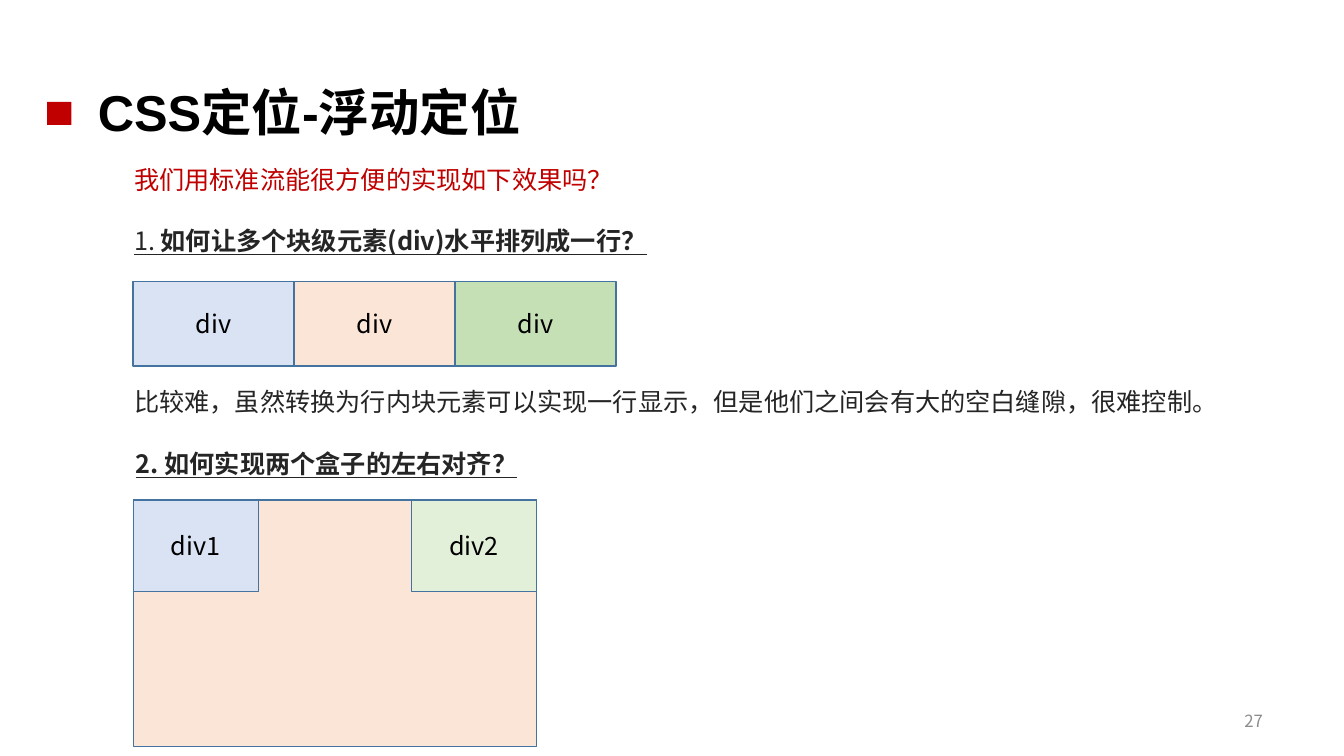
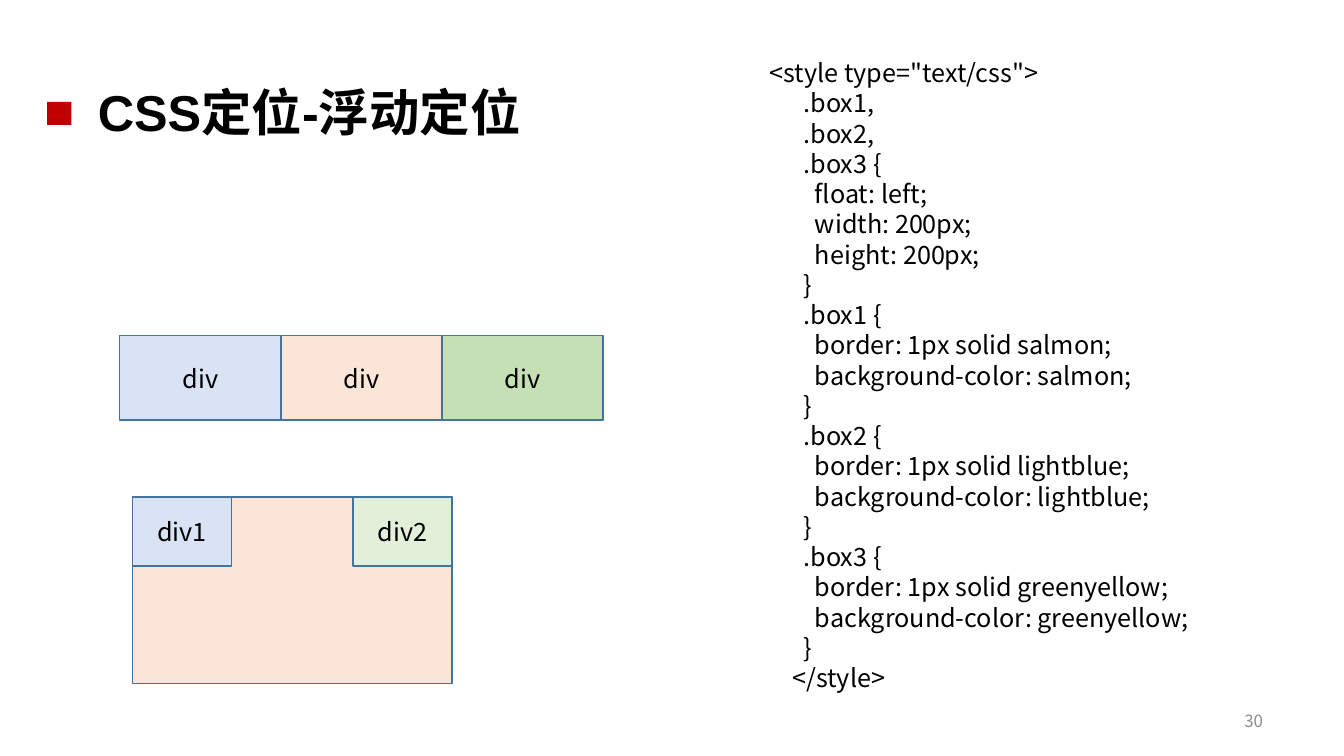
from lxml import etree
from pptx import Presentation
from pptx import util as u
from pptx.dml.color import RGBColor
from pptx.enum import shapes, text
from pptx.oxml import ns

SANS = "Noto Sans CJK SC"
INK, BLACK, RED, GREY, BORDER = "252525", "000000", "C00000", "8C8C8C", "43739E"
BLUE, PEACH, GREEN, PALE_GREEN = "DAE3F3", "FBE5D6", "C5E0B4", "E2F0D9"
CODE = """<style type="text/css">
      .box1,
      .box2,
      .box3 {
        float: left;
        width: 200px;
        height: 200px;
      }
      .box1 {
        border: 1px solid salmon;
        background-color: salmon;
      }
      .box2 {
        border: 1px solid lightblue;
        background-color: lightblue;
      }
      .box3 {
        border: 1px solid greenyellow;
        background-color: greenyellow;
      }
    </style>"""


def rgb(value):
    return RGBColor.from_string(value)


def cm(*lengths):
    return [u.Cm(length) for length in lengths]


class Deck:
    def __init__(self):
        self.prs = Presentation()
        self.prs.slide_width, self.prs.slide_height = cm(33.87, 19.05)
        self.slide = None

    def style(self, run, color=BLACK, **values):
        formats = {"name": SANS, "size": u.Pt(18), "bold": False, **values}
        for key, value in formats.items():
            setattr(run.font, key, value)
        run.font.color.rgb = rgb(color)
        east_asian = etree.SubElement(run.font._element, ns.qn("a:ea"))
        east_asian.set("typeface", SANS)

    def fill_text(self, frame, paragraphs, align, size=18, gap=0):
        frame.word_wrap = True
        for index, runs in enumerate(paragraphs):
            paragraph = frame.paragraphs[0] if index == 0 else frame.add_paragraph()
            paragraph.alignment = align
            paragraph.line_spacing = u.Pt(size * 1.2)
            paragraph.space_before = u.Pt(gap if index else 0)
            for words, look in runs:
                run = paragraph.add_run()
                run.text = words
                self.style(run, size=u.Pt(size), **look)

    def rectangle(self, place, fill, line=None, label=None, parent=None):
        box = (parent or self.slide).shapes.add_shape(
            shapes.MSO_SHAPE.RECTANGLE, *cm(*place))
        box.shadow.inherit = False
        box.fill.solid()
        box.fill.fore_color.rgb = rgb(fill)
        if line:
            box.line.color.rgb = rgb(line)
            box.line.width = u.Pt(1)
        else:
            box.line.fill.background()
        if label:
            box.text_frame.vertical_anchor = text.MSO_ANCHOR.MIDDLE
            self.fill_text(box.text_frame, [[(label, {})]], text.PP_ALIGN.CENTER)

    def text_box(self, place, paragraphs, align=text.PP_ALIGN.LEFT,
                 anchor=text.MSO_ANCHOR.TOP, inset=0, **layout):
        frame = self.slide.shapes.add_textbox(*cm(*place)).text_frame
        for side in ("left", "right", "top", "bottom"):
            setattr(frame, f"margin_{side}", u.Cm(inset))
        frame.vertical_anchor = anchor
        self.fill_text(frame, paragraphs, align, **layout)

    def new_slide(self, heading, number):
        self.slide = self.prs.slides.add_slide(self.prs.slide_layouts[5])
        title = self.slide.shapes.title
        title.left, title.top, title.width, title.height = cm(2.21, 1.32, 30.3, 3.15)
        title.text_frame.vertical_anchor = text.MSO_ANCHOR.MIDDLE
        paragraph = title.text_frame.paragraphs[0]
        paragraph.alignment = text.PP_ALIGN.LEFT
        paragraph.line_spacing = 0.9
        run = paragraph.add_run()
        run.text = heading
        self.style(run, name="Arial", size=u.Pt(36), bold=True)
        self.rectangle((1.19, 2.57, 0.61, 0.58), RED)
        self.text_box((24.46, 17.65, 7.62, 1.02), [[(number, {"color": GREY})]],
                      text.PP_ALIGN.RIGHT, text.MSO_ANCHOR.MIDDLE, 0.25, size=12)

    def div_row(self, left, top, width=4.06, height=2.13):
        for column, fill in enumerate((BLUE, PEACH, GREEN)):
            self.rectangle((left + column * width, top, width, height),
                           fill, BORDER, "div")

    def aligned_divs(self, left, top, width, height):
        group = self.slide.shapes.add_group_shape()
        inner_width, inner_height = width * 0.31, height * 0.37
        self.rectangle((left, top, width, height), PEACH, BORDER, parent=group)
        right = left + width - inner_width
        for x, fill, label in ((left, BLUE, "div1"), (right, PALE_GREEN, "div2")):
            self.rectangle((x, top, inner_width, inner_height),
                           fill, BORDER, label, group)


def main():
    deck = Deck()
    heading = "CSS定位-浮动定位"
    plain = {"color": INK}
    lined = {"color": INK, "underline": True}
    strong = {**lined, "bold": True}

    deck.new_slide(heading, "27")
    deck.text_box((3.38, 4.14, 23.06, 2.39), [
        [("我们用标准流能很方便的实现如下效果吗？", {"color": RED})],
        [("1. ", lined), ("如何让多个块级元素(div)水平排列成一行？", strong)],
    ], gap=22)
    deck.div_row(3.35, 7.09)
    deck.text_box((3.38, 9.73, 29.7, 0.8), [
        [("比较难，虽然转换为行内块元素可以实现一行显示，"
          "但是他们之间会有大的空白缝隙，很难控制。", plain)]])
    deck.text_box((3.42, 11.3, 16.5, 0.8), [
        [("2. 如何实现两个盒子的左右对齐？", strong)]])
    deck.aligned_divs(3.36, 12.6, 10.16, 6.22)

    deck.new_slide(heading, "30")
    deck.div_row(3.02, 8.46)
    deck.aligned_divs(3.34, 12.52, 8.05, 4.7)
    deck.text_box((19.4, 1.45, 12.6, 16.15),
                  [[(line, {})] for line in CODE.splitlines()])
    deck.prs.save("out.pptx")


if __name__ == "__main__":
    main()
